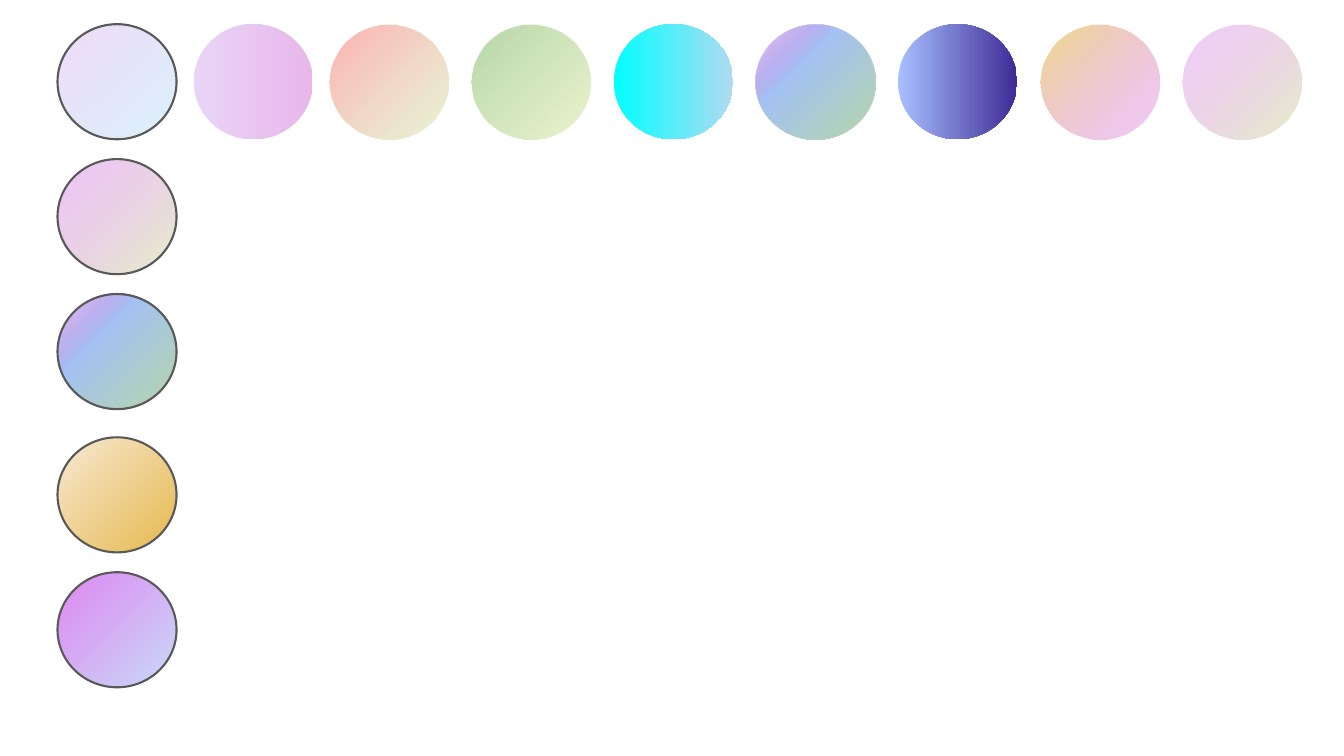
from itertools import accumulate

from lxml.etree import SubElement
from pptx import Presentation
from pptx.dml.color import RGBColor
from pptx.enum.shapes import MSO_SHAPE as Preset
from pptx.oxml.ns import qn
from pptx.util import Cm, Pt

OUTLINE = "595959"
RISING, LEVEL, FALLING = 225, 0, 45

ICE_LILAC = (RISING, [(0, "69D4F4", 26), (100, "9F39D5", 17)])
MEADOW_SKY = (RISING, [(0, "B6D7A8", 100), (64, "A4C2F4", 100), (100, "9F39D5", 17)])

ROW = [
    (LEVEL, [(0, "E9D4F7", 100), (100, "E8B7EA", 100)]),
    (RISING, [(0, "D8EDBA", 58), (100, "FE9696", 74)]),
    (RISING, [(0, "E0EDBA", 71), (100, "B6D7A8", 100)]),
    (LEVEL, [(0, "00FFFF", 100), (100, "B0DAF1", 100)]),
    MEADOW_SKY,
    (LEVEL, [(0, "A8C0FF", 100), (100, "3F2B96", 100)]),
    (RISING, [(0, "DE87F1", 40), (100, "F1DD87", 100)]),
    (RISING, [(0, "E0EDBA", 79), (100, "DE87F1", 40)]),
]
COLUMN = [
    ICE_LILAC,
    (RISING, [(0, "E0EDBA", 79), (100, "DE87F1", 48)]),
    MEADOW_SKY,
    (FALLING, [(0, "F7E9D4", 100), (100, "E6B94E", 100)]),
    (RISING, [(0, "C9DAF8", 100), (100, "DE87F1", 100)]),
]

LEFT, TOP = 1.45, 0.61
WIDTH, HEIGHT = 3.0, 2.9
ROW_STEPS = [3.43] * 2 + [3.58] * 6
COLUMN_STEPS = [3.4, 3.4, 3.61, 3.4]


def set_gradient(shape, angle, stops):
    shape.fill.gradient()
    shape.fill.gradient_angle = -angle % 360
    stop_list = shape.fill._xPr.find(qn("a:gradFill")).find(qn("a:gsLst"))
    for stop in list(stop_list):
        stop_list.remove(stop)
    for position, color, opacity in stops:
        stop = SubElement(stop_list, qn("a:gs"), pos=str(position * 1000))
        tint = SubElement(stop, qn("a:srgbClr"), val=color)
        if opacity < 100:
            SubElement(tint, qn("a:alpha"), val=str(opacity * 1000))


def add_swatch(slide, left, top, gradient, outline=None):
    shape = slide.shapes.add_shape(Preset.OVAL, Cm(left), Cm(top), Cm(WIDTH), Cm(HEIGHT))
    shape.shadow.inherit = False
    set_gradient(shape, *gradient)
    if outline:
        shape.line.color.rgb = RGBColor.from_string(outline)
        shape.line.width = Pt(1.5)
    else:
        shape.line.fill.background()


def main():
    presentation = Presentation()
    presentation.slide_width, presentation.slide_height = Cm(33.87), Cm(19.05)
    slide = presentation.slides.add_slide(presentation.slide_layouts[6])
    row_lefts = list(accumulate(ROW_STEPS, initial=LEFT))[1:]
    for left, gradient in zip(row_lefts, ROW):
        add_swatch(slide, left, TOP, gradient)
    for top, gradient in zip(accumulate(COLUMN_STEPS, initial=TOP), COLUMN):
        add_swatch(slide, LEFT, top, gradient, OUTLINE)
    presentation.save("out.pptx")


if __name__ == "__main__":
    main()
